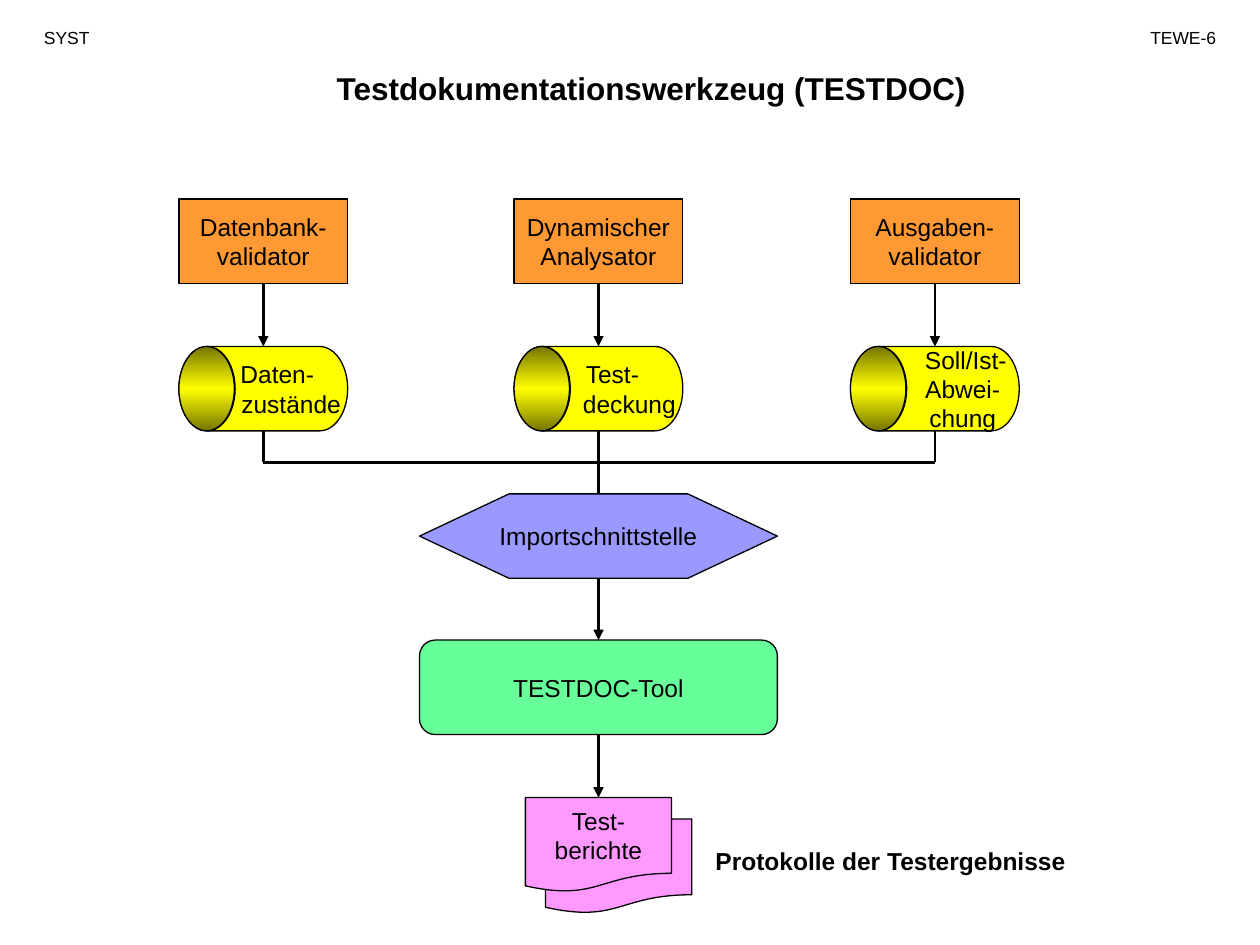
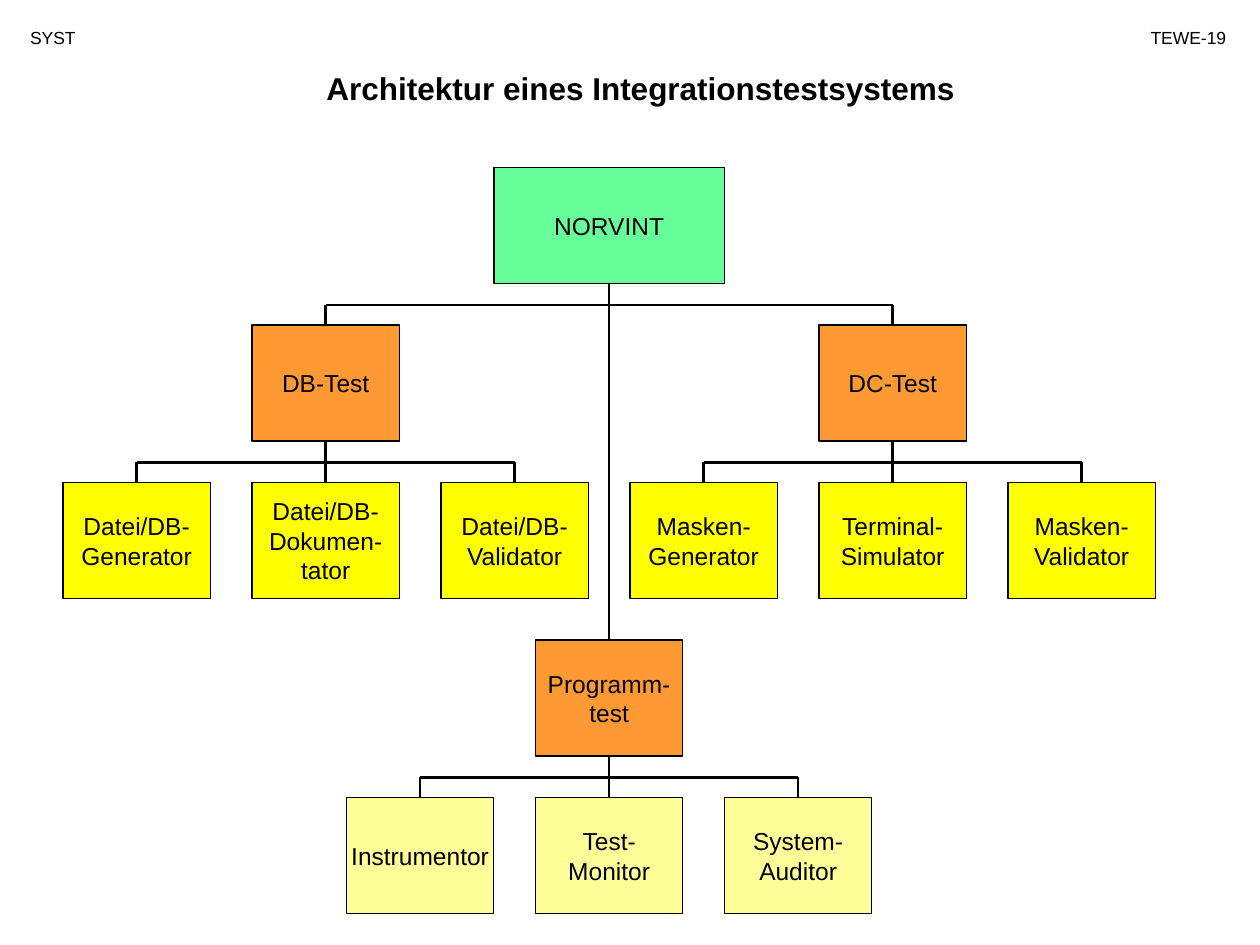
from copy import deepcopy

from lxml import etree
from pptx import Presentation
from pptx.dml.color import RGBColor
from pptx.enum.shapes import MSO_CONNECTOR, MSO_SHAPE as Kind
from pptx.enum.text import MSO_ANCHOR as Anchor, MSO_AUTO_SIZE as AutoSize, PP_ALIGN as Align
from pptx.oxml.ns import qn
from pptx.util import Inches, Pt

# Shared colours and formats
BLACK = RGBColor(0x00, 0x00, 0x00)
ORANGE = RGBColor(0xFF, 0x99, 0x33)
YELLOW = RGBColor(0xFF, 0xFF, 0x00)
OLIVE = RGBColor(0x75, 0x75, 0x00)
PALE_YELLOW = RGBColor(0xFF, 0xFF, 0x99)
GREEN = RGBColor(0x66, 0xFF, 0x99)
VIOLET = RGBColor(0x99, 0x99, 0xFF)
PINK = RGBColor(0xFF, 0x99, 0xFF)

BOX_FONT = {"name": "Arial", "size": Pt(14), "bold": False}
TITLE_FONT = {"name": "Arial", "size": Pt(18), "bold": True}
HEADER_FONT = {"name": "Arial", "size": Pt(10), "bold": False}
CAPTION_FONT = {"name": "Arial", "size": Pt(14), "bold": True}


def add_box(slide, kind, left, top, width, height, fill, lines=(), indents=()):
    """Add an outlined shape with centred lines, each with an optional indent."""
    shape = slide.shapes.add_shape(kind, Inches(left), Inches(top), Inches(width), Inches(height))
    shape.shadow.inherit = False
    shape.fill.solid()
    shape.fill.fore_color.rgb = fill
    shape.line.color.rgb = BLACK
    shape.line.width = Pt(0.75)
    frame = shape.text_frame
    frame.word_wrap = False
    frame.vertical_anchor = Anchor.MIDDLE
    for index, line in enumerate(lines):
        paragraph = frame.paragraphs[0] if index == 0 else frame.add_paragraph()
        paragraph.text = line
        paragraph.alignment = Align.CENTER
        if indents:
            properties = paragraph._p.get_or_add_pPr()
            properties.set("marL", str(Inches(indents[index])))
            properties.set("indent", "0")
        for name, value in BOX_FONT.items():
            setattr(paragraph.font, name, value)
        paragraph.font.color.rgb = BLACK
    return shape


def add_line(slide, x1, y1, x2, y2, above=None, below=None, arrow=False):
    """Add a line, joined to the bottom of one shape and the top of another if given."""
    line = slide.shapes.add_connector(
        MSO_CONNECTOR.STRAIGHT, Inches(x1), Inches(y1), Inches(x2), Inches(y2))
    if above is not None:
        line.begin_connect(above, 2)
    if below is not None:
        line.end_connect(below, 0)
    line.line.color.rgb = BLACK
    line.line.width = Pt(1.5)
    if arrow:
        etree.SubElement(line.line._get_or_add_ln(), qn("a:tailEnd"), type="triangle")
    etree.SubElement(line._element.spPr, qn("a:effectLst"))


presentation = Presentation()
presentation.slide_width = Inches(10)
presentation.slide_height = Inches(7.5)

# Titles, page headers and captions: text, left, top, width, height, font, alignment
pages = [
    (("Testdokumentationswerkzeug (TESTDOC)", 2.17, 6), [
        ("SYST", 0.25, 0.16, 0.92, 0.27, HEADER_FONT, Align.LEFT),
        ("TEWE-6", 8.67, 0.16, 1.08, 0.27, HEADER_FONT, Align.RIGHT),
        ("Protokolle der Testergebnisse", 5.58, 6.66, 3.17, 0.34, CAPTION_FONT, Align.LEFT),
    ]),
    (("Architektur eines Integrationstestsystems", 1.42, 7.33), [
        ("SYST", 0.14, 0.16, 1.12, 0.27, HEADER_FONT, Align.LEFT),
        ("TEWE-19", 8.81, 0.16, 1.02, 0.27, HEADER_FONT, Align.RIGHT),
    ]),
]
slides = []
for (title_text, title_left, title_width), labels in pages:
    slide = presentation.slides.add_slide(presentation.slide_layouts[5])
    slides.append(slide)
    title = slide.shapes.title
    title_place = {"left": title_left, "top": 0.5, "width": title_width, "height": 0.4}
    for name, value in title_place.items():
        setattr(title, name, Inches(value))
    texts = [(title, title_text, TITLE_FONT, Align.CENTER)]
    for text, left, top, width, height, font, alignment in labels:
        label = slide.shapes.add_textbox(Inches(left), Inches(top), Inches(width), Inches(height))
        texts.append((label, text, font, alignment))
    for shape, text, font, alignment in texts:
        frame = shape.text_frame
        frame.text = text
        frame.word_wrap = True
        frame.auto_size = AutoSize.NONE
        frame.vertical_anchor = Anchor.MIDDLE
        paragraph = frame.paragraphs[0]
        paragraph.alignment = alignment
        for name, value in font.items():
            setattr(paragraph.font, name, value)
        paragraph.font.color.rgb = BLACK

# Slide 1: validators and the data stores they fill
slide = slides[0]
CENTRE = 4.75
BUS_TOP = 3.67
COLUMN_WIDTH = 1.34
columns = [
    (1.42, ["Datenbank-", "validator"], ["Daten-", "zustände"], [0, 0.22]),
    (4.08, ["Dynamischer", "Analysator"], ["Test-", "deckung"], [0, 0.27]),
    (6.75, ["Ausgaben-", "validator"], ["Soll/Ist-", "Abwei-", "chung"], [0.27, 0.22, 0.22]),
]
column_centres = []
for left, source_lines, store_lines, indents in columns:
    centre = left + COLUMN_WIDTH / 2
    column_centres.append(centre)
    source = add_box(slide, Kind.RECTANGLE, left, 1.58, COLUMN_WIDTH, 0.67, ORANGE, source_lines)
    drum = add_box(slide, Kind.FLOWCHART_DIRECT_ACCESS_STORAGE, left, 2.75, COLUMN_WIDTH, 0.67,
                   YELLOW, store_lines, indents)
    drum._element.spPr.xfrm.set("flipH", "1")
    drum_end = add_box(slide, Kind.OVAL, left, 2.75, 0.44, 0.67, YELLOW)
    drum_end.fill.gradient()
    drum_end.fill.gradient_angle = 90
    stop_list = drum_end._element.spPr.find(qn("a:gradFill")).find(qn("a:gsLst"))
    stop_list.append(deepcopy(stop_list[0]))
    gradient = [(0, OLIVE), (0.5, YELLOW), (1, OLIVE)]
    for stop, (position, color) in zip(drum_end.fill.gradient_stops, gradient):
        stop.position = position
        stop.color.rgb = color
    add_line(slide, centre, 2.25, centre, 2.75, above=source, arrow=True)
    add_line(slide, centre, 3.42, centre, 3.92 if left == 4.08 else BUS_TOP)
add_line(slide, column_centres[0], BUS_TOP, column_centres[-1], BUS_TOP)

# Slide 1: import, tool and reports
hexagon = add_box(slide, Kind.HEXAGON, 3.33, 3.92, 2.84, 0.67, VIOLET, ["Importschnittstelle"])
hexagon.adjustments[0] = 1.06
tool = add_box(slide, Kind.ROUNDED_RECTANGLE, 3.33, 5.08, 2.84, 0.75, GREEN, ["TESTDOC-Tool"])
add_box(slide, Kind.FLOWCHART_DOCUMENT, 4.33, 6.5, 1.16, 0.75, PINK)
report = add_box(slide, Kind.FLOWCHART_DOCUMENT, 4.17, 6.33, 1.16, 0.75, PINK,
                 ["Test-", "berichte"])
add_line(slide, CENTRE, 4.59, CENTRE, 5.08, below=tool, arrow=True)
add_line(slide, CENTRE, 5.83, CENTRE, 6.33, above=tool, below=report, arrow=True)

# Slide 2: root, test areas and their components
slide = slides[1]
BOX_WIDTH, BOX_HEIGHT = 1.17, 0.92
COLUMN_STEP, ROW_STEP = 1.5, 1.25
STEM = 0.16
root = add_box(slide, Kind.RECTANGLE, 3.92, 1.33, 1.83, BOX_HEIGHT, GREEN, ["NORVINT"])
areas = [
    (["DB-Test"], 2, 2.58, YELLOW,
     [["Datei/DB-", "Generator"], ["Datei/DB-", "Dokumen-", "tator"], ["Datei/DB-", "Validator"]]),
    (["DC-Test"], 6.5, 2.58, YELLOW,
     [["Masken-", "Generator"], ["Terminal-", "Simulator"], ["Masken-", "Validator"]]),
    (["Programm-", "test"], 4.25, 5.08, PALE_YELLOW,
     [["Instrumentor"], ["Test-", "Monitor"], ["System-", "Auditor"]]),
]
root_bus = 2.58 - STEM
for area_lines, left, top, component_fill, components in areas:
    area = add_box(slide, Kind.RECTANGLE, left, top, BOX_WIDTH, BOX_HEIGHT, ORANGE, area_lines)
    centre = left + BOX_WIDTH / 2
    if top == 2.58:
        add_line(slide, centre, root_bus, centre, top, below=area)
    else:
        add_line(slide, centre, 2.25, centre, top, above=root, below=area)
    component_top = top + ROW_STEP
    bus = component_top - STEM
    for index, component_lines in enumerate(components):
        offset = (index - 1) * COLUMN_STEP
        component = add_box(slide, Kind.RECTANGLE, left + offset, component_top,
                            BOX_WIDTH, BOX_HEIGHT, component_fill, component_lines)
        add_line(slide, centre + offset, bus, centre + offset, component_top,
                 above=area if offset == 0 else None, below=component)
    add_line(slide, centre - COLUMN_STEP, bus, centre + COLUMN_STEP, bus)
add_line(slide, 2 + BOX_WIDTH / 2, root_bus, 6.5 + BOX_WIDTH / 2, root_bus)

presentation.save("out.pptx")
